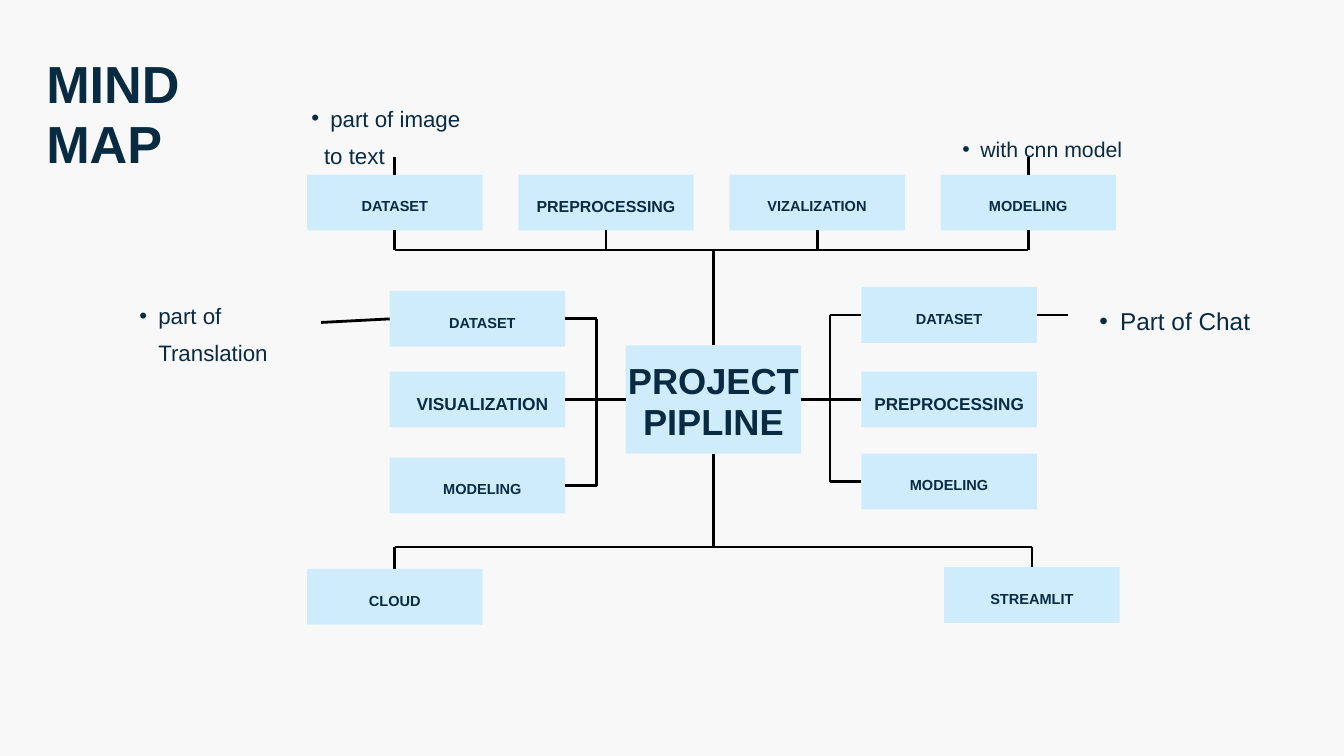
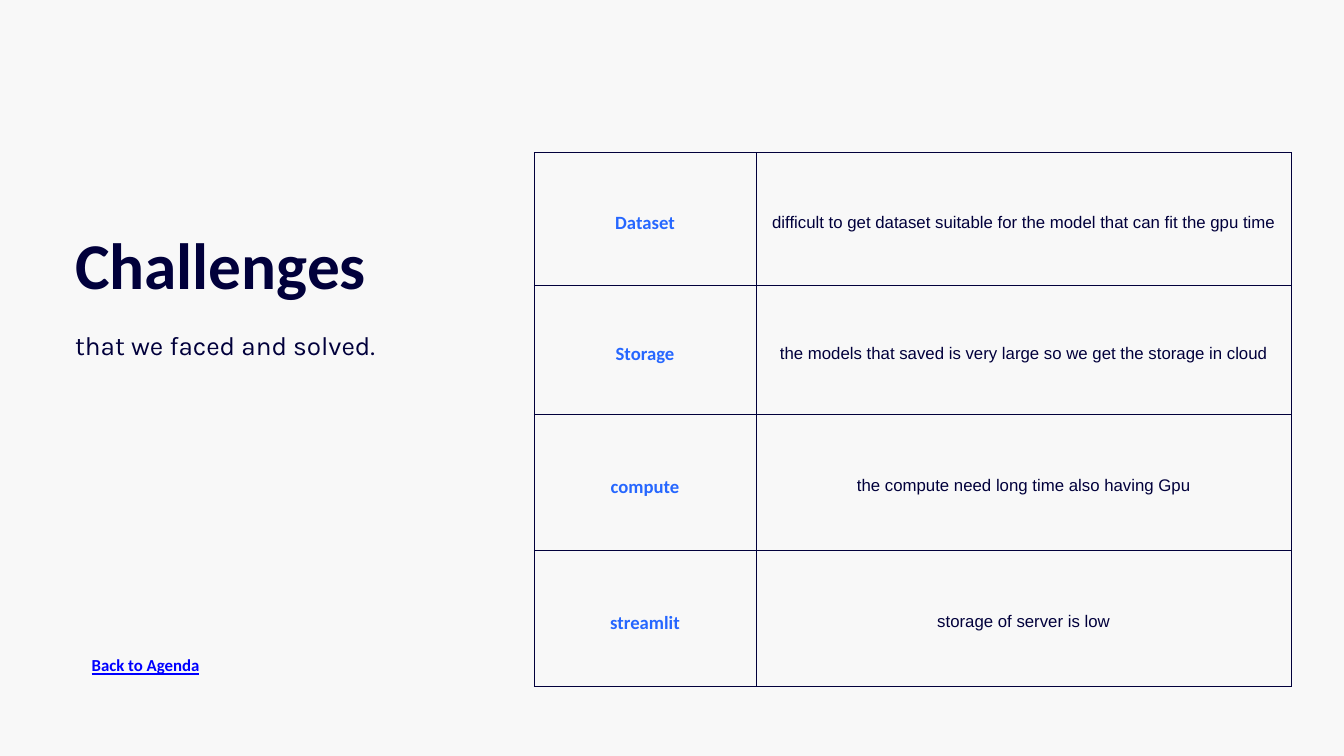
from lxml import etree
from pptx import Presentation, util as u
from pptx.dml.color import RGBColor
from pptx.enum import shapes, text
from pptx.oxml import ns

Cm, Pt = u.Cm, u.Pt

PAPER = RGBColor(0xF8, 0xF8, 0xF8)
BOX_BLUE = RGBColor(0xCF, 0xEC, 0xFD)
INK = RGBColor(0x08, 0x2B, 0x42)
NAVY = RGBColor(0x01, 0x00, 0x3B)
TOPIC_BLUE = RGBColor(0x26, 0x67, 0xFF)
LINK_BLUE = RGBColor(0x00, 0x00, 0xFF)
BLACK = RGBColor(0, 0, 0)

TOP, LEFT, BOTTOM, RIGHT = range(4)
CENTER = text.PP_ALIGN.CENTER
BOX_WIDTH, BOX_HEIGHT = 6.63, 2.11

CHALLENGES = [
    ("Dataset", "difficult to get dataset suitable for the model that can fit the gpu time"),
    ("Storage", "the models that saved is very large so we get the storage in cloud"),
    ("compute", "the compute need long time also having Gpu"),
    ("streamlit", "storage of server is low"),
]


def add_slide(prs):
    slide = prs.slides.add_slide(prs.slide_layouts[6])
    slide.background.fill.solid()
    slide.background.fill.fore_color.rgb = PAPER
    return slide


def set_margins(target, left=0, top=0, right=0, bottom=0):
    target.margin_left, target.margin_top = Cm(left), Cm(top)
    target.margin_right, target.margin_bottom = Cm(right), Cm(bottom)


def write(paragraph, words, size, color=INK, font="Arial", bold=False,
          align=None, spacing=1.4, underline=None):
    paragraph.alignment = align
    paragraph.line_spacing = spacing
    run = paragraph.add_run()
    run.text = words
    run.font.size, run.font.name = Pt(size), font
    run.font.bold, run.font.underline = bold, underline
    run.font.color.rgb = color


def add_text_frame(slide, left, top, width, height):
    frame = slide.shapes.add_textbox(Cm(left), Cm(top), Cm(width), Cm(height)).text_frame
    frame.word_wrap = True
    set_margins(frame)
    return frame


def add_label(slide, place, words, size, **style):
    write(add_text_frame(slide, *place).paragraphs[0], words, size, **style)


def add_box(slide, left, top, lines, size=15.6, height=BOX_HEIGHT, spacing=1.4,
            inset_left=0, inset_top=0):
    box = slide.shapes.add_shape(shapes.MSO_SHAPE.RECTANGLE, Cm(left), Cm(top),
                                 Cm(BOX_WIDTH), Cm(height))
    box.shadow.inherit = False
    box.fill.solid()
    box.fill.fore_color.rgb = BOX_BLUE
    box.line.fill.background()
    frame = box.text_frame
    frame.word_wrap = True
    frame.vertical_anchor = text.MSO_ANCHOR.MIDDLE
    set_margins(frame, left=inset_left, top=inset_top)
    for i, words in enumerate(lines):
        paragraph = frame.add_paragraph() if i else frame.paragraphs[0]
        write(paragraph, words, size, bold=True, align=CENTER, spacing=spacing)
    return box


def add_column(slide, left, rows, inset_left=0):
    return [add_box(slide, left, top, [words], size, inset_left=inset_left)
            for top, words, size in rows]


def side_middle(box, side):
    x, y = box.left + box.width // 2, box.top + box.height // 2
    return {TOP: (x, box.top), LEFT: (box.left, y),
            BOTTOM: (x, box.top + box.height), RIGHT: (box.left + box.width, y)}[side]


def add_line(slide, start, end):
    """Draw a line; each end is a point or a (box, side) pair to join."""
    ends = [side_middle(*e) if hasattr(e[0], "left") else e for e in (start, end)]
    line = slide.shapes.add_connector(shapes.MSO_CONNECTOR.STRAIGHT, *ends[0], *ends[1])
    line.line.color.rgb = BLACK
    line.line.width = Pt(3)
    etree.SubElement(line._element.spPr, ns.qn("a:effectLst"))
    for e, connect in ((start, line.begin_connect), (end, line.end_connect)):
        if hasattr(e[0], "left"):
            connect(*e)


def join_to_bus(slide, boxes, side, bus):
    """Link one side of every box to a shared straight line at the position bus."""
    feet = []
    for box in boxes:
        x, y = side_middle(box, side)
        feet.append((x, Cm(bus)) if side in (TOP, BOTTOM) else (Cm(bus), y))
        add_line(slide, (box, side), feet[-1])
    add_line(slide, feet[0], feet[-1])


def add_note(slide, left, top, height, words, size, continuation=None):
    """Bulleted remark; the indent grows with the text size."""
    frame = add_text_frame(slide, left, top, 7.62, height)
    paragraph = frame.paragraphs[0]
    props = paragraph._p.get_or_add_pPr()
    indent = Cm(0.06 * size)
    props.set("marL", str(indent))
    props.set("indent", str(-indent // 2))
    color = etree.SubElement(props, ns.qn("a:buClr"))
    etree.SubElement(color, ns.qn("a:srgbClr"), val=str(INK))
    etree.SubElement(props, ns.qn("a:buFont"), typeface="Arial")
    etree.SubElement(props, ns.qn("a:buChar"), char="•")
    write(paragraph, words, size)
    if continuation:
        paragraph = frame.add_paragraph()
        paragraph._p.get_or_add_pPr().set("marL", str(Cm(1.2)))
        write(paragraph, continuation, size)


def set_borders(cell):
    props = cell._tc.get_or_add_tcPr()
    for side in "LRTB":
        border = etree.SubElement(props, ns.qn(f"a:ln{side}"), w=str(Pt(0.75)))
        fill = etree.SubElement(border, ns.qn("a:solidFill"))
        etree.SubElement(fill, ns.qn("a:srgbClr"), val=str(NAVY))


def fill_cell(cell, words, size, **style):
    set_margins(cell, 0.53, 0.53, 0.53, 0.53)
    cell.vertical_anchor = text.MSO_ANCHOR.MIDDLE
    set_borders(cell)
    cell.fill.solid()
    cell.fill.fore_color.rgb = PAPER
    write(cell.text_frame.paragraphs[0], words, size, align=CENTER, **style)


def add_challenge_table(slide):
    widths, heights = (8.38, 20.24), (5, 4.9, 5.13, 5.13)
    table = slide.shapes.add_table(len(heights), len(widths), Cm(20.19), Cm(5.77),
                                   Cm(sum(widths)), Cm(sum(heights))).table
    table.first_row = table.horz_banding = False
    for column, width in zip(table.columns, widths):
        column.width = Cm(width)
    for row, height, (topic, problem) in zip(table.rows, heights, CHALLENGES):
        row.height = Cm(height)
        fill_cell(row.cells[0], topic, 20, color=TOPIC_BLUE, font="Calibri", bold=True)
        fill_cell(row.cells[1], problem, 18, color=NAVY)


def build_mind_map(slide):
    project = add_box(slide, 23.65, 13.06, ["PROJECT", "PIPLINE"], 38.8, height=4.09,
                      spacing=0.95, inset_top=0.25)
    chat = add_column(slide, 32.56, [(10.85, "DATASET", 15.6),
                                     (14.05, "PREPROCESSING", 18.4),
                                     (17.15, "MODELING", 15.6)])
    translation = add_column(slide, 14.73, [(11, "DATASET", 15.6),
                                            (14.05, "VISUALIZATION", 18.6),
                                            (17.3, "MODELING", 15.6)], inset_left=0.38)
    image_steps = [("DATASET", 15.6), ("PREPROCESSING", 17.1),
                   ("VIZALIZATION", 15.6), ("MODELING", 15.6)]
    image = [add_box(slide, 11.61 + 7.98 * i, 6.6, [words], size)
             for i, (words, size) in enumerate(image_steps)]
    deployment = [add_box(slide, 11.61, 21.51, ["CLOUD"]),
                  add_box(slide, 35.69, 21.44, ["STREAMLIT"])]

    add_line(slide, (project, RIGHT), (chat[1], LEFT))
    join_to_bus(slide, chat[::2], LEFT, 31.37)
    add_line(slide, (project, LEFT), (translation[1], RIGHT))
    join_to_bus(slide, translation[::2], RIGHT, 22.56)
    for boxes, side, bus, project_side in ((image, BOTTOM, 9.45, TOP),
                                           (deployment, TOP, 20.68, BOTTOM)):
        join_to_bus(slide, boxes, side, bus)
        add_line(slide, (project, project_side),
                 (side_middle(project, project_side)[0], Cm(bus)))

    for box in (image[0], image[-1]):
        add_line(slide, (box, TOP), (side_middle(box, TOP)[0], Cm(5.92)))
    add_line(slide, (chat[0], RIGHT), (Cm(40.36), side_middle(chat[0], RIGHT)[1]))
    add_line(slide, (translation[0], LEFT), (Cm(12.14), Cm(12.19)))

    add_note(slide, 11.05, 3.56, 2.26, "part of image", 23.9, continuation="to text")
    add_note(slide, 35.69, 4.78, 1.09, "with cnn model", 22.8)
    add_note(slide, 40.77, 11.15, 1.22, "Part of Chat", 26.1)
    add_note(slide, 4.55, 11.02, 2.26, "part of Translation", 23.9)
    add_label(slide, (1.75, 2.13, 6.25, 3.89), "MIND MAP", 55.9, bold=True, spacing=0.95)


def build_challenges(slide):
    add_label(slide, (2.84, 7.87, 18.08, 3), "Challenges", 70, color=NAVY,
              font="Calibri", bold=True, spacing=1.2)
    add_label(slide, (2.84, 11.99, 16.38, 1.19), "that we faced and solved.", 28,
              color=NAVY, font="Karla")
    add_challenge_table(slide)
    add_label(slide, (2.03, 24.54, 5.51, 0.79), "Back to Agenda", 18, color=LINK_BLUE,
              font="Calibri", bold=True, underline=True, spacing=1.3,
              align=text.PP_ALIGN.RIGHT)


def main():
    prs = Presentation()
    prs.slide_width, prs.slide_height = Cm(50.8), Cm(28.58)
    build_mind_map(add_slide(prs))
    build_challenges(add_slide(prs))
    prs.save("out.pptx")


if __name__ == "__main__":
    main()
